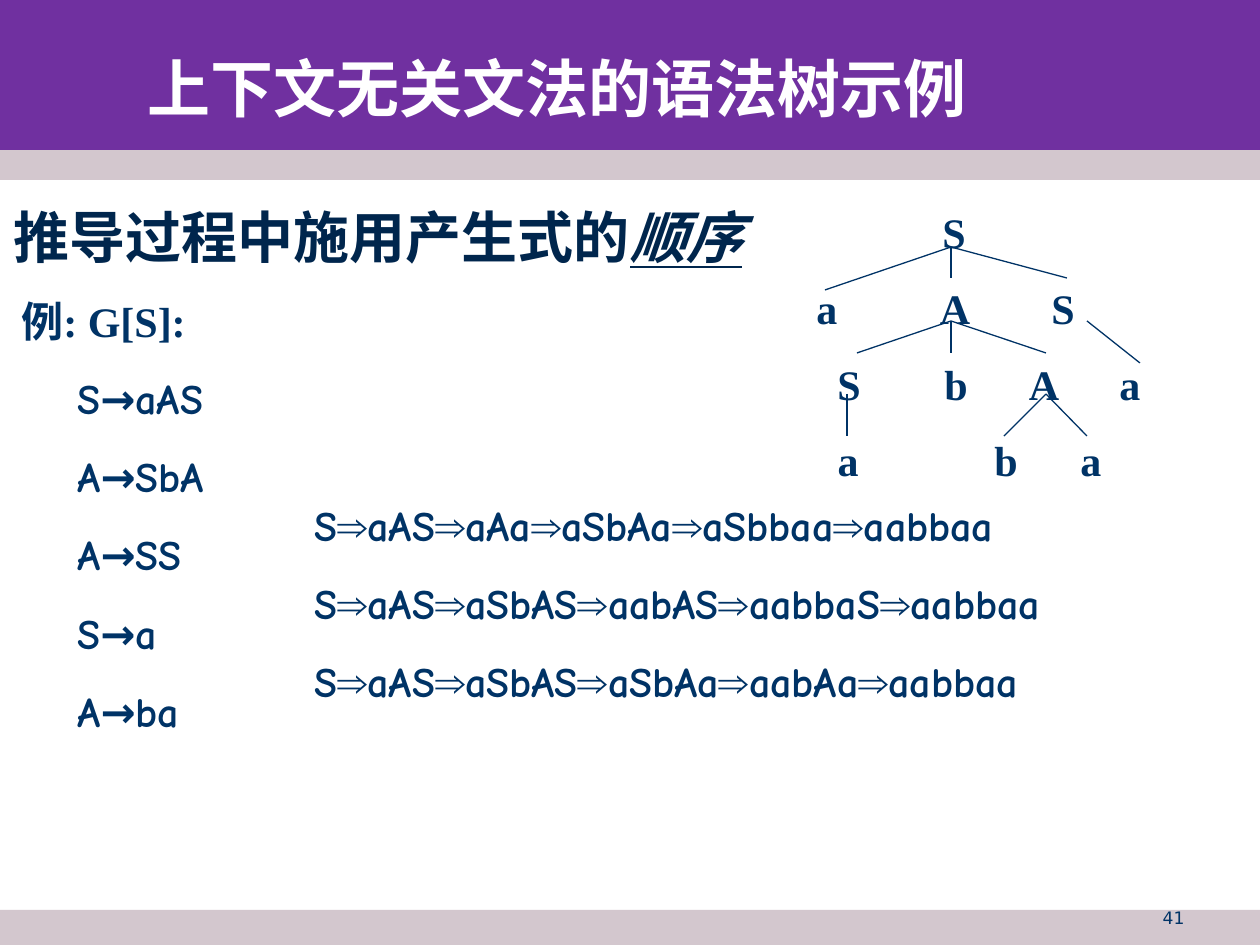
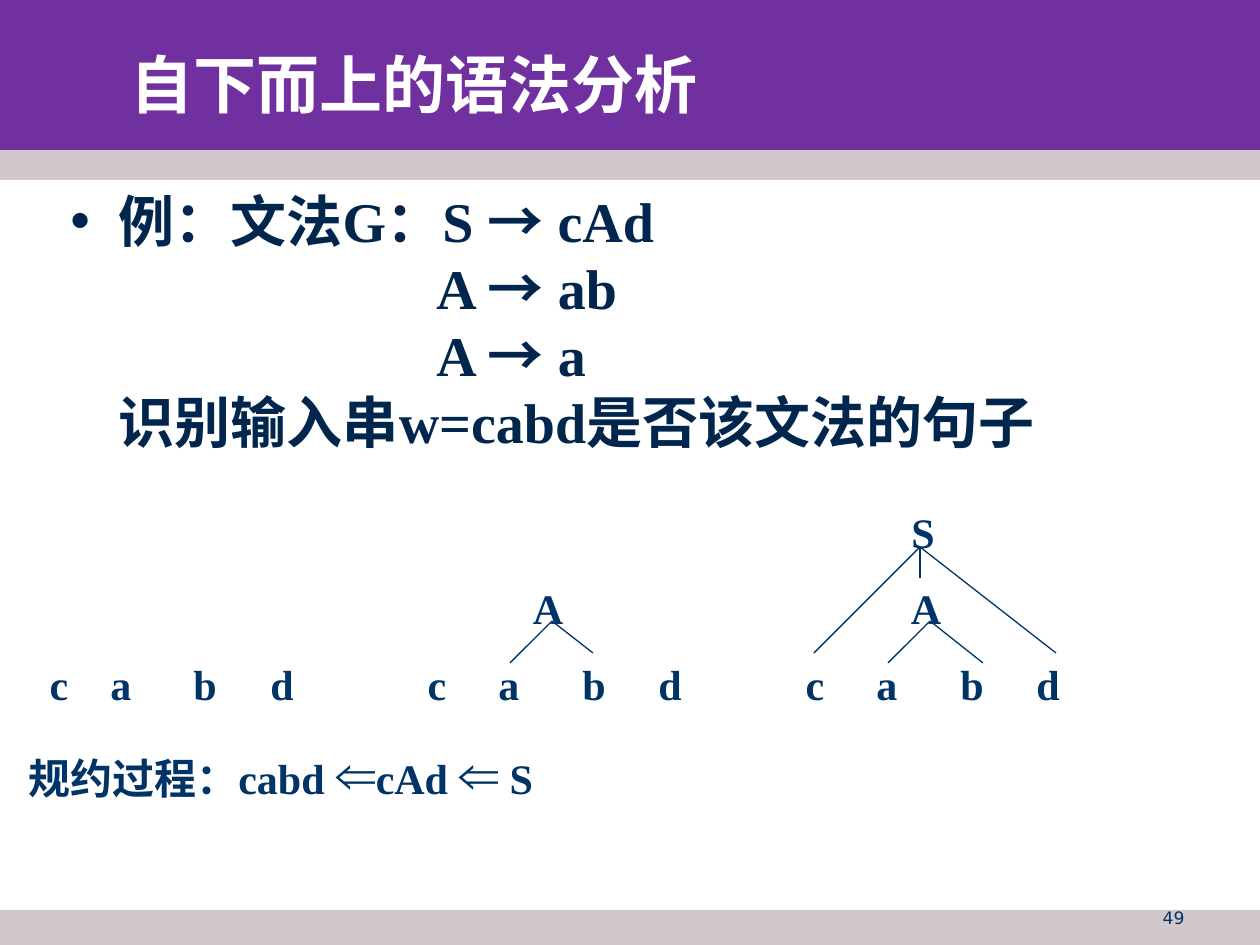
from itertools import groupby

from lxml import etree
from pptx import Presentation
from pptx.dml.color import RGBColor
from pptx.enum.shapes import MSO_CONNECTOR, MSO_SHAPE
from pptx.enum.text import MSO_ANCHOR, PP_ALIGN
from pptx.oxml.ns import qn
from pptx.util import Pt

PX = 7257  # EMU per px, 126 px to the inch
PURPLE, MAUVE, WHITE = "7030A0", "D3C7CE", "FFFFFF"
NAVY, DARK_NAVY = "003366", "00264D"
SERIF, SANS, COMIC, CJK = "Times New Roman", "Arial", "Comic Neue", "Noto Sans CJK SC"
ARROWS = "→⇒⇐"
ROW_PITCH = 76
NODE_SIZE = 60


def style_run(run, font, size, color, bold=True):
    run.font.name = font
    run.font.size = Pt(size)
    run.font.bold = bold
    run.font.color.rgb = RGBColor.from_string(color)
    if font == CJK or max(run.text) >= "一":
        east_asian = etree.SubElement(run.font._element, qn("a:ea"))
        east_asian.set("typeface", CJK)


def add_text(slide, box, lines, size=24, font=SERIF, color=NAVY, bold=True,
             arrow_font=None, arrow_size=None, align=PP_ALIGN.LEFT):
    """Add a text box; arrows become runs with their own font and size."""
    shape = slide.shapes.add_textbox(*(length * PX for length in box))
    frame = shape.text_frame
    frame.word_wrap = True
    for index, line in enumerate(lines):
        paragraph = frame.paragraphs[0] if index == 0 else frame.add_paragraph()
        paragraph.alignment = align
        for is_arrow, characters in groupby(line, lambda character: character in ARROWS):
            run = paragraph.add_run()
            run.text = "".join(characters)
            if is_arrow:
                style_run(run, arrow_font or font, arrow_size or size, color, bold)
            else:
                style_run(run, font, size, color, bold)
    return frame


presentation = Presentation()
presentation.slide_width = 1260 * PX
presentation.slide_height = 945 * PX
title_only = presentation.slide_layouts[5]

# Titles and slide numbers
slides = []
for title_text, left, top, font, number in [
    ("上下文无关文法的语法树示例", 135, 35, SERIF, "41"),
    ("自下而上的语法分析", 118, 31, CJK, "49"),
]:
    slide = presentation.slides.add_slide(title_only)
    title = slide.shapes.title
    title.left, title.top, title.width, title.height = left * PX, top * PX, 1125 * PX, 105 * PX
    title.text_frame.text = title_text
    title.text_frame.vertical_anchor = MSO_ANCHOR.MIDDLE
    paragraph = title.text_frame.paragraphs[0]
    paragraph.alignment = PP_ALIGN.LEFT
    style_run(paragraph.runs[0], font, 36, WHITE)
    number_frame = add_text(slide, (903, 905, 294, 39), [number], 9.8, "DejaVu Sans",
                            bold=False, align=PP_ALIGN.RIGHT)
    number_frame.paragraphs[0].line_spacing = 0.8
    slides.append(slide)
tree_slide, parse_slide = slides

# Bands shared by both slides live on the master, behind everything
master_tree = presentation.slide_master.shapes.element
for index, (top, height, color) in enumerate([(0, 165, PURPLE), (150, 30, MAUVE), (910, 38, MAUVE)]):
    band = tree_slide.shapes.add_shape(MSO_SHAPE.RECTANGLE, 0, top * PX, 1260 * PX, height * PX)
    band.shadow.inherit = False
    band.fill.solid()
    band.fill.fore_color.rgb = RGBColor.from_string(color)
    band.line.fill.background()
    band.element.nvSpPr.cNvPr.id = 20 + index
    master_tree.insert(2 + index, band.element)

# Grammar and derivations
heading = add_text(tree_slide, (1, 204, 1114, 77), ["推导过程中施用产生式的"], 32, SANS, DARK_NAVY)
heading.paragraphs[0].line_spacing = 0.9
order_run = heading.paragraphs[0].add_run()
order_run.text = "顺序"
style_run(order_run, SANS, 32, DARK_NAVY)
order_run.font.italic = order_run.font.underline = True

add_text(tree_slide, (9, 289, 300, 60), ["例: G[S]:"])
rules = add_text(tree_slide, (65, 366, 250, 370),
                 ["S→aAS", "A→SbA", "A→SS", "S→a", "A→ba"], font=COMIC)
derivations = add_text(tree_slide, (302, 493, 914, 217), [
    "S⇒aAS⇒aAa⇒aSbAa⇒aSbbaa⇒aabbaa",
    "S⇒aAS⇒aSbAS⇒aabAS⇒aabbaS⇒aabbaa",
    "S⇒aAS⇒aSbAS⇒aSbAa⇒aabAa⇒aabbaa",
], font=COMIC, arrow_font=SANS)
for frame in (rules, derivations):
    for paragraph in frame.paragraphs[1:]:
        paragraph.space_before = Pt(16)

# Grammar and input string
grammar = add_text(parse_slide, (58, 180, 1118, 287), [
    "例：文法G：S → cAd", "A → ab", "A → a", "识别输入串w=cabd是否该文法的句子",
], 32, SERIF, DARK_NAVY, arrow_font=CJK)
for paragraph, indent in zip(grammar.paragraphs, (48, 366, 366, 48)):
    paragraph.line_spacing = Pt(38.3)
    paragraph._p.get_or_add_pPr().set("marL", str(indent * PX))
bullet_properties = grammar.paragraphs[0]._p.get_or_add_pPr()
bullet_properties.set("indent", str(-48 * PX))
etree.SubElement(bullet_properties, qn("a:buFont")).set("typeface", SANS)
etree.SubElement(bullet_properties, qn("a:buChar")).set("char", "•")

add_text(parse_slide, (16, 732, 1124, 73), ["规约过程：cabd ⇐cAd ⇐ S"], arrow_size=32)

# Syntax trees: rows of (symbol, centre), then branches from each parent
trees = [
    (tree_slide, 200, [
        [("S", 954)],
        [("a", 827), ("A", 955), ("S", 1063)],
        [("S", 849), ("b", 956), ("A", 1044), ("a", 1130)],
        [("a", 848), ("b", 1006), ("a", 1091)],
    ], {
        (951, 247): [(951, 278), (825, 290), (1067, 278)],
        (951, 321): [(951, 353), (857, 353), (1046, 353)],
        (1087, 321): [(1140, 363)],
        (847, 394): [(847, 436)],
        (1046, 394): [(1004, 436), (1087, 436)],
    }),
    (parse_slide, 500, [
        [("S", 923)],
        [("A", 548), ("A", 926)],
        [("c", 59), ("a", 121), ("b", 205), ("d", 282),
         ("c", 437), ("a", 509), ("b", 594), ("d", 670),
         ("c", 815), ("a", 887), ("b", 972), ("d", 1048)],
    ], {
        (920, 547): [(920, 578), (814, 653), (1056, 653)],
        (930, 621): [(888, 663), (983, 663)],
        (552, 621): [(510, 663), (593, 653)],
    }),
]
for slide, tree_top, rows, branches in trees:
    for row, nodes in enumerate(rows):
        for symbol, center in nodes:
            box = (center - NODE_SIZE // 2, tree_top + row * ROW_PITCH, NODE_SIZE, NODE_SIZE)
            add_text(slide, box, [symbol], align=PP_ALIGN.CENTER)
    for (start_x, start_y), ends in branches.items():
        for end_x, end_y in ends:
            branch = slide.shapes.add_connector(
                MSO_CONNECTOR.STRAIGHT, start_x * PX, start_y * PX, end_x * PX, end_y * PX)
            branch.line.color.rgb = RGBColor.from_string(NAVY)
            branch.line.width = Pt(0.75)
            etree.SubElement(branch.element.spPr, qn("a:effectLst"))

presentation.save("out.pptx")
